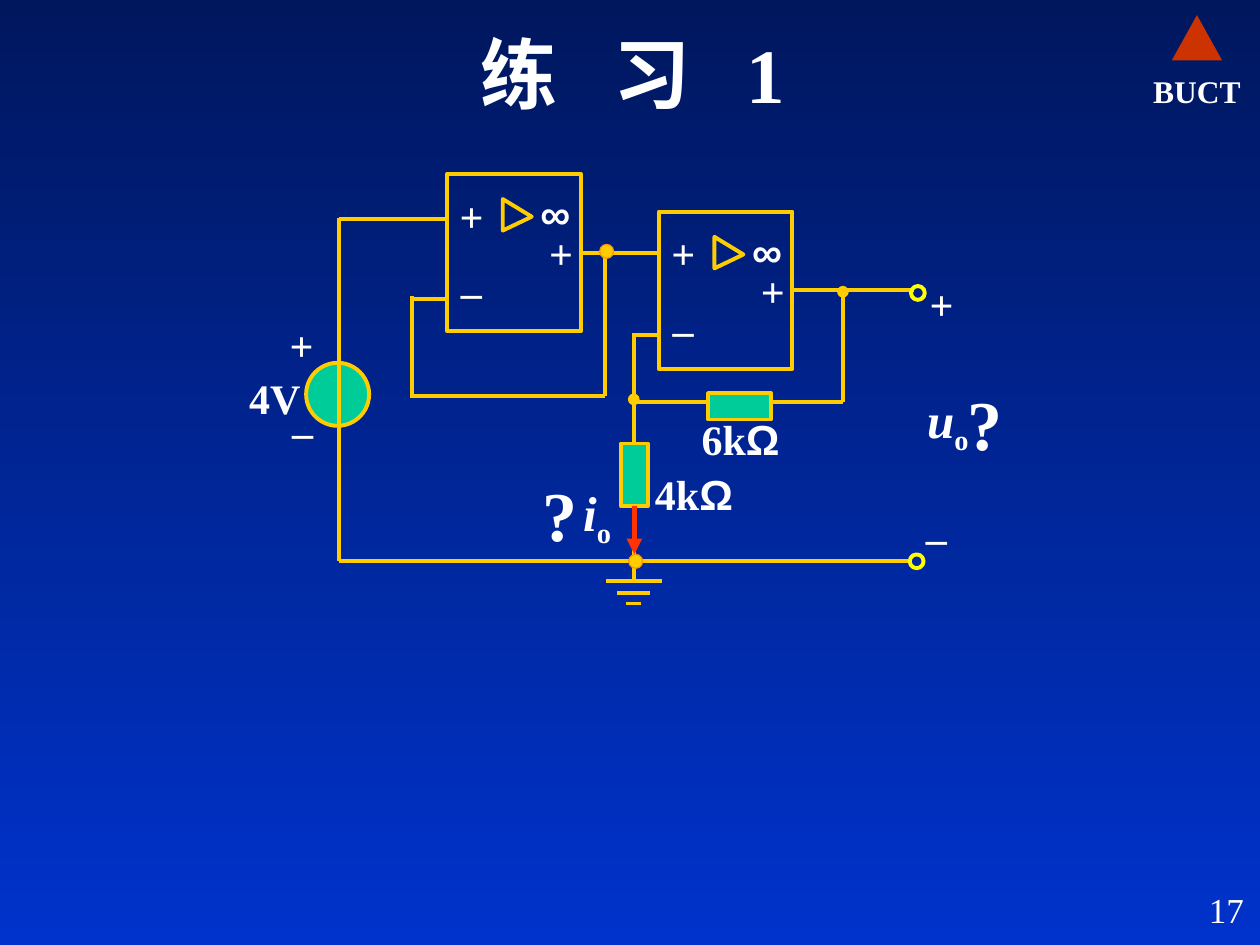
import lxml.etree
import pptx
import pptx.dml.color
import pptx.enum.shapes
import pptx.enum.text
import pptx.oxml.ns
import pptx.util

Inches = pptx.util.Inches
SHAPE = pptx.enum.shapes.MSO_SHAPE
ALIGN = pptx.enum.text.PP_ALIGN
WHITE, GOLD, GREEN, RED = "FFFFFF", "FFCC00", "00CC99", "FF3300"
SERIF, SANS = "Times New Roman", "Arial"


def color(value):
    return pptx.dml.color.RGBColor.from_string(value)


def add_label(slide, left, top, width, height, pieces, size, bold=True,
              align=ALIGN.LEFT, wrap=False, inset=True):
    """Each piece is (text, style), style being "", "italic", "sub", "sans" or "gap"."""
    box = slide.shapes.add_textbox(Inches(left), Inches(top), Inches(width), Inches(height))
    frame = box.text_frame
    frame.word_wrap = wrap
    if not inset:
        frame.margin_left = frame.margin_right = frame.margin_top = frame.margin_bottom = 0
        frame.vertical_anchor = pptx.enum.text.MSO_ANCHOR.MIDDLE
    paragraph = frame.paragraphs[0]
    paragraph.alignment = align
    for text, style in pieces:
        run = paragraph.add_run()
        run.text = text
        run.font.size = pptx.util.Pt(size)
        run.font.bold = bold
        run.font.italic = style == "italic"
        run.font.name = SANS if style == "sans" else SERIF
        run.font.color.rgb = color(WHITE)
        if style == "sub":
            run.font._element.set("baseline", "-25000")
        if style == "gap":
            run.font._element.set("spc", "2200")
    return box


def add_sign(slide, left, top, text):
    add_label(slide, left, top, 0.39 if text == "+" else 0.36, 0.5, [(text, "")], 24)


def add_part(slide, kind, left, top, width, height, fill=None, line=None, weight=2.25):
    shape = slide.shapes.add_shape(kind, Inches(left), Inches(top), Inches(width), Inches(height))
    shape.shadow.inherit = False
    if fill:
        shape.fill.solid()
        shape.fill.fore_color.rgb = color(fill)
    else:
        shape.fill.background()
    if line:
        shape.line.color.rgb = color(line)
        shape.line.width = pptx.util.Pt(weight)
    else:
        shape.line.fill.background()
    return shape


def add_wire(slide, x1, y1, x2, y2, stroke=GOLD, weight=2.25, tail=None):
    wire = slide.shapes.add_connector(pptx.enum.shapes.MSO_CONNECTOR.STRAIGHT,
                                      Inches(x1), Inches(y1), Inches(x2), Inches(y2))
    wire.line.color.rgb = color(stroke)
    wire.line.width = pptx.util.Pt(weight)
    if tail:
        end = lxml.etree.SubElement(wire.line._get_or_add_ln(), pptx.oxml.ns.qn("a:tailEnd"))
        end.set("type", tail)
    lxml.etree.SubElement(wire._element.spPr, pptx.oxml.ns.qn("a:effectLst"))
    return wire


def draw_background(slide):
    fill = slide.background.fill
    fill.gradient()
    fill.gradient_angle = 270
    for stop, value, position in zip(fill.gradient_stops, ("00175E", "0033CC"), (0, 1)):
        stop.color.rgb = color(value)
        stop.position = position


def draw_emblem(slide, left, top, width):
    # Plain shape above the university name
    add_part(slide, SHAPE.ISOSCELES_TRIANGLE, left + 0.23, top, 0.4, 0.36, "CC3300")
    add_label(slide, left, top + 0.45, width, 0.3, [("BUCT", "")], 18,
              align=ALIGN.CENTER, wrap=True, inset=False)


def draw_amplifier(slide, left, top):
    body = add_part(slide, SHAPE.RECTANGLE, left, top, 1.06, 1.25, line=GOLD)
    triangle = add_part(slide, SHAPE.ISOSCELES_TRIANGLE, left + 0.43, top + 0.21,
                        0.25, 0.23, line=GOLD)
    triangle.rotation = 90
    triangle.adjustments[0] = 0.56
    add_sign(slide, left, top + 0.08, "+")
    add_sign(slide, left + 0.01, top + 0.57, "_")
    add_sign(slide, left + 0.71, top + 0.38, "+")
    add_label(slide, left + 0.64, top + 0.06, 0.45, 0.5, [("∞", "sans")], 24)
    return body


def draw_source(slide, left, top):
    add_part(slide, SHAPE.OVAL, left + 0.55, top + 0.39, 0.5, 0.5, GREEN, GOLD)
    add_sign(slide, left + 0.32, top, "+")
    add_sign(slide, left + 0.34, top + 0.57, "_")
    add_label(slide, left, top + 0.42, 0.64, 0.5, [("4V", "")], 24, wrap=True)


def draw_ground(slide, center, top):
    add_wire(slide, center, top, center, top + 0.16)
    for half_width, drop in ((0.22, 0.16), (0.13, 0.26), (0.06, 0.34)):
        add_wire(slide, center - half_width, top + drop, center + half_width, top + drop)


def draw_circuit(slide, left, top):
    source_x, loop_x, joint_x = left + 1.69, left + 2.27, left + 3.8
    divider_x, output_x, terminal_x = left + 4.03, left + 5.69, left + 6.22
    feedback_y, rail_y = top + 2.19, top + 3.45
    first_left, first_top = left + 2.55, top + 0.38
    second_left, second_top = left + 4.23, top + 0.68
    first_out_y, second_out_y = first_top + 0.625, second_top + 0.625

    draw_source(slide, left + 0.88, top + 1.49)
    first = draw_amplifier(slide, first_left, first_top)
    second = draw_amplifier(slide, second_left, second_top)

    # Wires between the amplifiers, the source and the rail
    for x1, y1, x2, y2 in (
        (source_x, top + 0.73, source_x, rail_y),
        (first_left, top + 0.74, source_x, top + 0.74),
        (first_left, top + 1.37, loop_x, top + 1.37),
        (loop_x, top + 1.35, loop_x, top + 2.16),
        (joint_x, top + 2.14, loop_x, top + 2.14),
        (joint_x, first_out_y, joint_x, top + 2.14),
        (second_left, top + 1.66, divider_x - 0.01, top + 1.66),
        (divider_x, feedback_y, output_x, feedback_y),
        (divider_x, top + 1.99, divider_x, rail_y),
        (source_x, rail_y, terminal_x - 0.01, rail_y),
    ):
        add_wire(slide, x1, y1, x2, y2)
    add_wire(slide, divider_x, top + 1.67, divider_x, top + 2.17, tail="oval")
    add_wire(slide, output_x, feedback_y, output_x, second_out_y + 0.01, tail="oval")
    link = add_wire(slide, first_left + 1.06, first_out_y, second_left, first_out_y)
    link.begin_connect(first, 3)
    output = add_wire(slide, second_left + 1.06, second_out_y, terminal_x + 0.03, second_out_y)
    output.begin_connect(second, 3)

    # Resistors and the output current
    add_part(slide, SHAPE.RECTANGLE, left + 4.62, top + 2.12, 0.5, 0.21, GREEN, GOLD)
    lower = add_part(slide, SHAPE.RECTANGLE, left + 3.93, top + 2.52, 0.21, 0.5, GREEN, GOLD)
    current = add_wire(slide, divider_x, top + 3.02, left + 4.035, top + 3.4, RED, 3, "triangle")
    current.begin_connect(lower, 2)
    for text, x, y in (("6k", 4.47, 2.23), ("4k", 4.1, 2.67)):
        add_label(slide, left + x, top + y, 1.33, 0.5, [(text, ""), ("Ω", "sans")], 24, wrap=True)

    # Ground, junctions and terminals
    draw_ground(slide, divider_x, rail_y)
    for x, y in ((3.76, 0.94), (3.99, 3.4)):
        add_part(slide, SHAPE.OVAL, left + x, top + y, 0.11, 0.11, GOLD, "FF9900", 0.75)
    for x, y in ((6.23, 1.27), (6.22, 3.4)):
        add_part(slide, SHAPE.OVAL, left + x, top + y, 0.11, 0.11, line="FFFF00")
    add_sign(slide, left + 6.28, top + 1.16, "+")
    add_sign(slide, left + 6.25, top + 2.9, "_")

    # Unknown quantities
    for text, x, y, width in (("u", 6.26, 2.04, 0.53), ("i", 3.53, 2.78, 0.42)):
        add_label(slide, left + x, top + y, width, 0.63, [(text, "italic"), ("o", "sub")], 28)
    for x, y in ((3.21, 2.69), (6.58, 1.97)):
        add_label(slide, left + x, top + y, 0.62, 0.77, [("?", "")], 40, wrap=True)


def main():
    presentation = pptx.Presentation()
    presentation.slide_width, presentation.slide_height = Inches(10), Inches(7.5)
    slide = presentation.slides.add_slide(presentation.slide_layouts[6])
    draw_background(slide)
    draw_emblem(slide, 9.07, 0.12, 0.86)
    title = [("练", ""), (" ", "gap"), ("习", ""), (" ", "gap"), ("1", "")]
    add_label(slide, 1.15, 0.16, 7.74, 0.78, title, 44, align=ALIGN.CENTER, wrap=True)
    draw_circuit(slide, 1, 1)
    # Page number
    add_label(slide, 7.89, 7, 2.08, 0.5, [("17", "")], 20, False, ALIGN.RIGHT, True)
    presentation.save("out.pptx")


if __name__ == "__main__":
    main()
